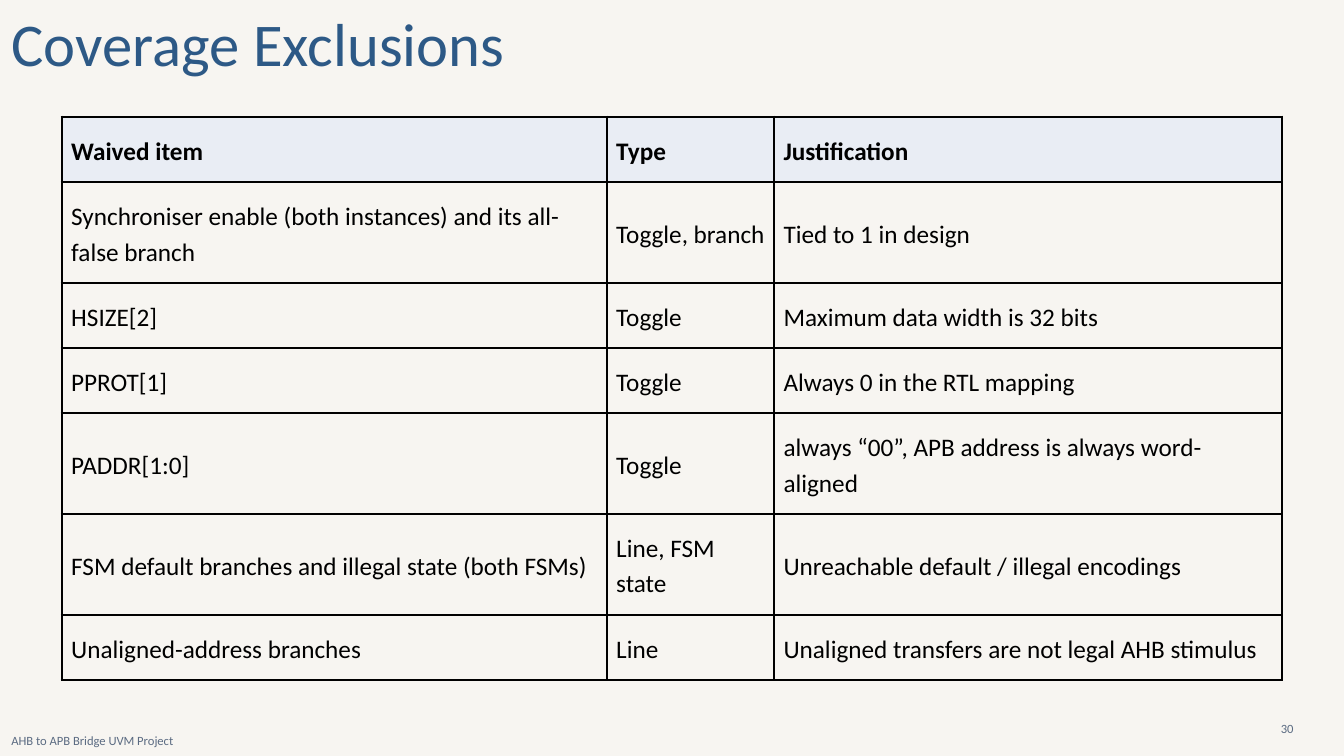
from lxml import etree
from pptx import Presentation
from pptx.dml.color import RGBColor
from pptx.enum.text import MSO_ANCHOR, MSO_AUTO_SIZE, PP_ALIGN
from pptx.oxml.ns import qn
from pptx.util import Inches, Pt

TOP, MIDDLE = MSO_ANCHOR.TOP, MSO_ANCHOR.MIDDLE
LEFT, RIGHT = PP_ALIGN.LEFT, PP_ALIGN.RIGHT
GROW, FIXED = MSO_AUTO_SIZE.SHAPE_TO_FIT_TEXT, MSO_AUTO_SIZE.NONE

FONT = "Calibri"
PAPER, INK, BLUE, GREY, HEAD = "F7F5F1", "000000", "2D5986", "5B6B82", "E9EDF4"
SHORT, TALL = 0.97, 1.5
COLS = (8.11, 2.49, 7.56)
ROWS = (
    (SHORT, "Waived item", "Type", "Justification"),
    (TALL, "Synchroniser enable (both instances) and its all-false branch",
     "Toggle, branch", "Tied to 1 in design"),
    (SHORT, "HSIZE[2]", "Toggle", "Maximum data width is 32 bits"),
    (SHORT, "PPROT[1]", "Toggle", "Always 0 in the RTL mapping"),
    (TALL, "PADDR[1:0]", "Toggle", "always “00”, APB address is always word-aligned"),
    (TALL, "FSM default branches and illegal state (both FSMs)",
     "Line, FSM state", "Unreachable default / illegal encodings"),
    (SHORT, "Unaligned-address branches", "Line",
     "Unaligned transfers are not legal AHB stimulus"),
)


def color(code):
    """Turn a hex string into a colour."""
    return RGBColor.from_string(code)


def write(frame, text, size, lead, tint=INK, bold=False, align=LEFT):
    """Put one formatted paragraph into a text frame."""
    frame.text = text
    para = frame.paragraphs[0]
    para.alignment = align
    para.line_spacing = Pt(lead)
    para.space_before = Pt(0)
    font = para.runs[0].font
    font.name, font.size, font.bold = FONT, Pt(size), bold
    font.color.rgb = color(tint)


def setup(frame, anchor, fit=FIXED):
    """Clear the margins of a text frame and set how it sits."""
    frame.margin_left = frame.margin_right = 0
    frame.margin_top = frame.margin_bottom = 0
    frame.word_wrap = True
    frame.auto_size = fit
    frame.vertical_anchor = anchor


def add_title(slide, box, text):
    """Move the title placeholder to the box and fill it."""
    title = slide.shapes.title
    title.left, title.top, title.width, title.height = map(Inches, box)
    setup(title.text_frame, TOP, GROW)
    write(title.text_frame, text, 65, 91, tint=BLUE)


def add_note(slide, box, text, align=LEFT):
    """Add one small footer text in the box."""
    frame = slide.shapes.add_textbox(*map(Inches, box)).text_frame
    setup(frame, MIDDLE)
    write(frame, text, 13.5, 16.2, tint=GREY, align=align)


def add_rules(cell, tint=INK, width=3):
    """Draw a solid line on all four sides of a cell."""
    props = cell._tc.get_or_add_tcPr()
    for side in ("a:lnL", "a:lnR", "a:lnT", "a:lnB"):
        line = etree.SubElement(props, qn(side), w=str(Pt(width)))
        fill = etree.SubElement(line, qn("a:solidFill"))
        etree.SubElement(fill, qn("a:srgbClr"), val=tint)


def fill_cell(cell, text, head):
    """Format one table cell and write its text."""
    cell.margin_left = cell.margin_right = Inches(0.14)
    cell.margin_top = cell.margin_bottom = Inches(0.14)
    cell.vertical_anchor = MIDDLE
    add_rules(cell)
    if head:
        cell.fill.solid()
        cell.fill.fore_color.rgb = color(HEAD)
    else:
        cell.fill.background()
    write(cell.text_frame, text, 27, 37.8, bold=head)


def add_grid(slide, box, cols, rows):
    """Add the table of exclusions in the box."""
    table = slide.shapes.add_table(len(rows), len(cols), *map(Inches, box)).table
    table.horz_banding = False
    for col, width in zip(table.columns, cols):
        col.width = Inches(width)
    for r, (height, *texts) in enumerate(rows):
        table.rows[r].height = Inches(height)
        for c, text in enumerate(texts):
            fill_cell(table.cell(r, c), text, head=r == 0)


def main():
    """Build the slide and save it."""
    deck = Presentation()
    deck.slide_width, deck.slide_height = Inches(20), Inches(11.25)
    slide = deck.slides.add_slide(deck.slide_layouts[5])
    slide.background.fill.solid()
    slide.background.fill.fore_color.rgb = color(PAPER)
    add_grid(slide, (0.92, 1.74, 18.16, 8.39), COLS, ROWS)
    add_title(slide, (0.17, -0.1, 14.58, 1.23), "Coverage Exclusions")
    add_note(slide, (0.17, 10.79, 12, 0.47), "AHB to APB Bridge UVM Project")
    add_note(slide, (18.5, 10.6, 0.75, 0.47), "30", align=RIGHT)
    deck.save("out.pptx")


if __name__ == "__main__":
    main()
